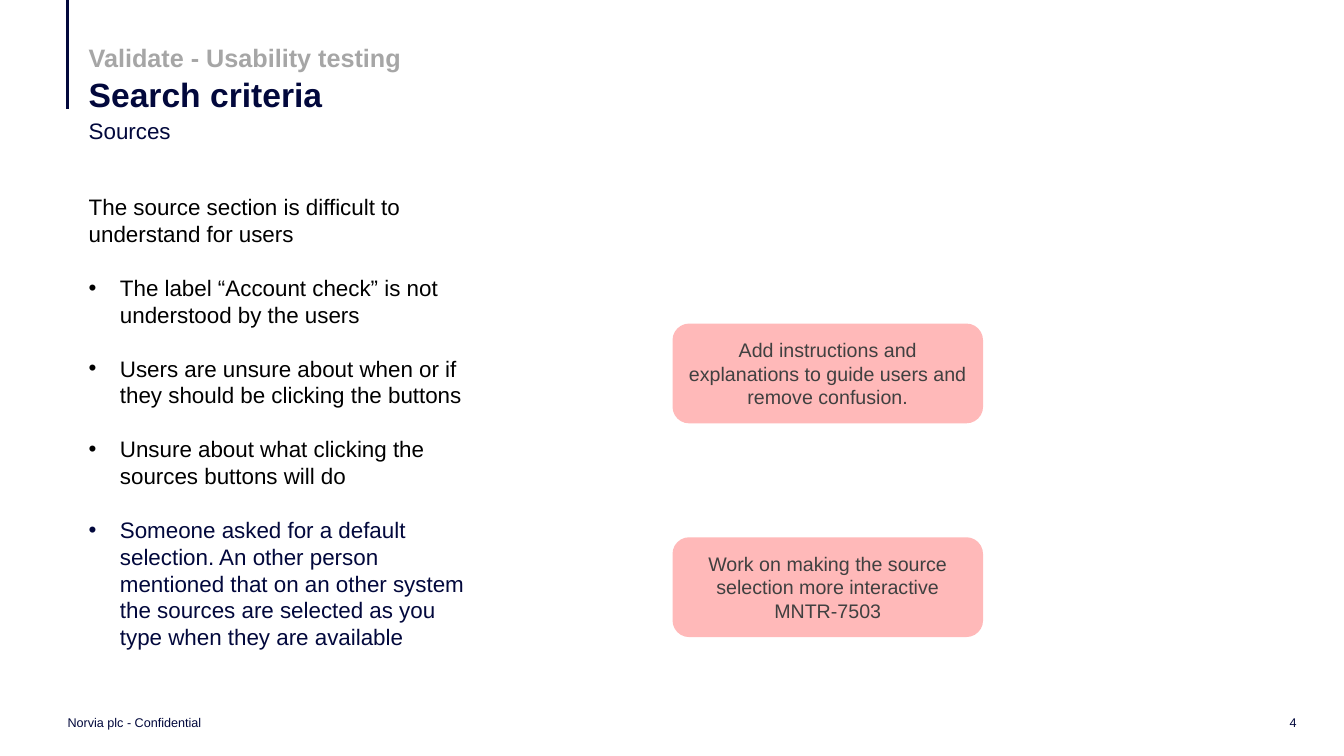
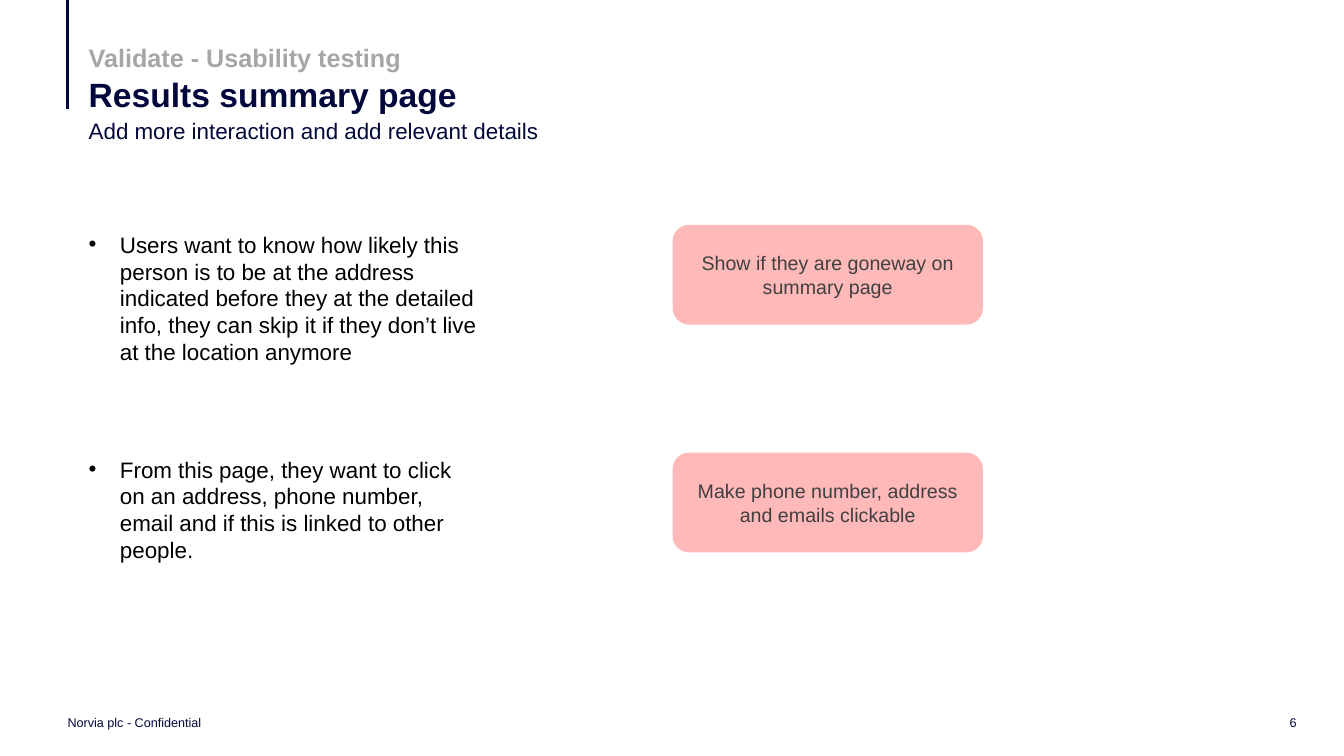
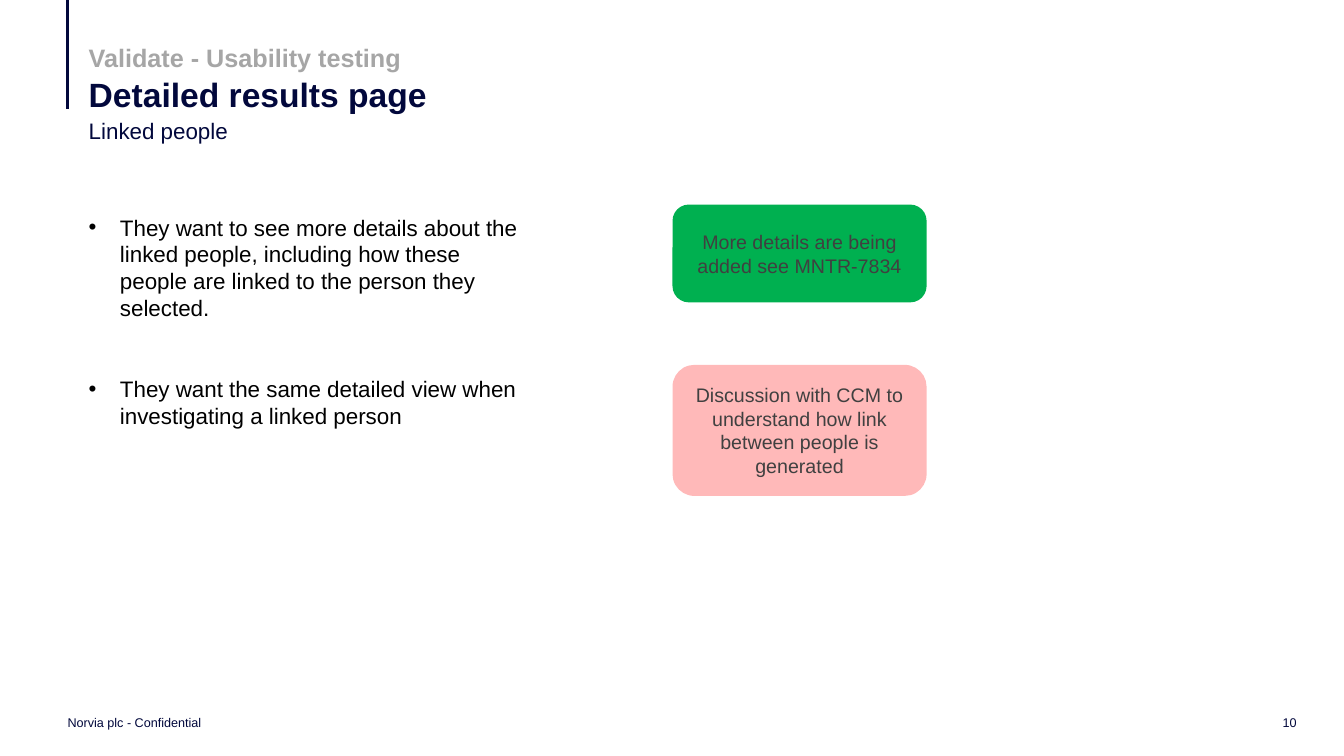
from dataclasses import dataclass

from lxml import etree
from pptx import Presentation
from pptx.dml.color import RGBColor
from pptx.enum.shapes import MSO_CONNECTOR, MSO_SHAPE
from pptx.enum.text import MSO_ANCHOR, PP_ALIGN
from pptx.oxml.ns import qn
from pptx.util import Inches, Pt

STRAIGHT = MSO_CONNECTOR.STRAIGHT
ROUNDED = MSO_SHAPE.ROUNDED_RECTANGLE
TOP, MIDDLE, BOTTOM = MSO_ANCHOR.TOP, MSO_ANCHOR.MIDDLE, MSO_ANCHOR.BOTTOM
LEFT, CENTER, RIGHT = PP_ALIGN.LEFT, PP_ALIGN.CENTER, PP_ALIGN.RIGHT


@dataclass(frozen=True)
class Theme:
    font: str = "Arial"
    navy: str = "02083C"
    black: str = "000000"
    grey: str = "A6A6A6"
    note_text: str = "404040"
    pink: str = "FFB9B9"
    green: str = "00B050"
    title: int = 24
    section: int = 18
    body: int = 16
    note: int = 14
    footer: int = 9
    line_gap: float = 19.2  # height of one body line, in points


T = Theme()
SECTION = "Validate - Usability testing"
FOOTER = "Norvia plc - Confidential"
TEXT_X, NOTE_X = 0.88, 6.67
INDENT = Inches(0.31)

# Paragraphs are (text, bulleted, colour); gap is counted in body lines.
# Texts are (top, width, height, gap, paragraphs).
# Notes are (top, width, height, fill, lines).
SLIDES = [
    {
        "number": 4,
        "title": "Search criteria",
        "subtitle": "Sources",
        "texts": [(1.92, 3.85, 4.58, 1, [
            ("The source section is difficult to understand for users", False, T.black),
            ("The label “Account check” is not understood by the users", True, T.black),
            ("Users are unsure about when or if they should be clicking the buttons",
             True, T.black),
            ("Unsure about what clicking the sources buttons will do", True, T.black),
            ("Someone asked for a default selection. An other person mentioned that on "
             "an other system the sources are selected as you type when they are "
             "available", True, T.navy),
        ])],
        "notes": [
            (3.21, 3.08, 0.99, T.pink,
             ["Add instructions and explanations to guide users and remove confusion."]),
            (5.33, 3.08, 0.99, T.pink,
             ["Work on making the source selection more interactive", "MNTR-7503"]),
        ],
    },
    {
        "number": 6,
        "title": "Results summary page",
        "subtitle": "Add more interaction and add relevant details",
        "texts": [
            (2.29, 3.85, 1.35, 0, [
                ("Users want to know how likely this person is to be at the address "
                 "indicated before they at the detailed info, they can skip it if they "
                 "don’t live at the location anymore", True, T.black)]),
            (4.52, 3.85, 1.08, 0, [
                ("From this page, they want to click on an address, phone number, email "
                 "and if this is linked to other people.", True, T.black)]),
        ],
        "notes": [
            (2.23, 3.08, 0.99, T.pink, ["Show if they are goneway on summary page"]),
            (4.49, 3.08, 0.99, T.pink,
             ["Make phone number, address and emails clickable"]),
        ],
    },
    {
        "number": 10,
        "title": "Detailed results page",
        "subtitle": "Linked people",
        "texts": [(2.12, 4.35, 2.15, 2, [
            ("They want to see more details about the linked people, including how "
             "these people are linked to the person they selected.", True, T.black),
            ("They want the same detailed view when investigating a linked person",
             True, T.black),
        ])],
        "notes": [
            (2.03, 2.52, 0.97, T.green, ["More details are being added see MNTR-7834"]),
            (3.62, 2.52, 1.3, T.pink,
             ["Discussion with CCM to understand how link between people is generated"]),
        ],
    },
]


def fill_text(sp, paragraphs, size, anchor=TOP, align=LEFT, bold=False,
              spacing=None, gap=0):
    """Write (text, bulleted, colour) paragraphs into a shape."""
    tf = sp.text_frame
    tf.word_wrap = True
    tf.vertical_anchor = anchor
    for i, (text, bulleted, color) in enumerate(paragraphs):
        p = tf.add_paragraph() if i else tf.paragraphs[0]
        p.text = text
        p.alignment = align
        if spacing:
            p.line_spacing = spacing
        if i and gap:
            p.space_before = Pt(gap * T.line_gap)
        if bulleted:
            pPr = p._p.get_or_add_pPr()
            pPr.set("marL", str(INDENT))
            pPr.set("indent", str(-INDENT))
            etree.SubElement(pPr, qn("a:buFont"), typeface=T.font)
            etree.SubElement(pPr, qn("a:buChar"), char="•")
        for r in p.runs:
            r.font.name = T.font
            r.font.size = Pt(size)
            r.font.bold = bold
            r.font.color.rgb = RGBColor.from_string(color)


def add_text(s, box, paragraphs, size, **style):
    """Add a text box without margins."""
    sp = s.shapes.add_textbox(*(Inches(v) for v in box))
    tf = sp.text_frame
    tf.margin_left = tf.margin_top = tf.margin_right = tf.margin_bottom = 0
    fill_text(sp, paragraphs, size, **style)


prs = Presentation()
prs.slide_width, prs.slide_height = Inches(13.33), Inches(7.5)

for page in SLIDES:
    s = prs.slides.add_slide(prs.slide_layouts[6])

    # Accent line
    line = s.shapes.add_connector(STRAIGHT, Inches(0.67), 0, Inches(0.67), Inches(1.08))
    line.line.color.rgb = RGBColor.from_string(T.navy)
    line.line.width = Pt(2.75)
    etree.SubElement(line._element.spPr, qn("a:effectLst"))

    # Heading
    add_text(s, (TEXT_X, 0.32, 6.47, 0.4), [(SECTION, False, T.grey)], T.section,
             anchor=BOTTOM, bold=True, spacing=0.9)
    add_text(s, (TEXT_X, 0.66, 7.14, 0.48), [(page["title"], False, T.navy)], T.title,
             anchor=BOTTOM, bold=True, spacing=0.9)
    add_text(s, (TEXT_X, 1.16, 9.39, 0.35), [(page["subtitle"], False, T.navy)], T.body)

    # Findings
    for top, width, height, gap, paragraphs in page["texts"]:
        add_text(s, (TEXT_X, top, width, height), paragraphs, T.body, gap=gap)

    # Action notes
    for top, width, height, fill, lines in page["notes"]:
        sp = s.shapes.add_shape(ROUNDED, Inches(NOTE_X), Inches(top),
                                Inches(width), Inches(height))
        sp.shadow.inherit = False
        sp.fill.solid()
        sp.fill.fore_color.rgb = RGBColor.from_string(fill)
        sp.line.fill.background()
        fill_text(sp, [(text, False, T.note_text) for text in lines], T.note,
                  anchor=MIDDLE, align=CENTER)

    # Footer
    add_text(s, (0.67, 7.09, 4.5, 0.16), [(FOOTER, False, T.navy)], T.footer,
             anchor=MIDDLE)
    add_text(s, (12.47, 7.09, 0.39, 0.16), [(str(page["number"]), False, T.navy)],
             T.footer, anchor=MIDDLE, align=RIGHT)

prs.save("out.pptx")
